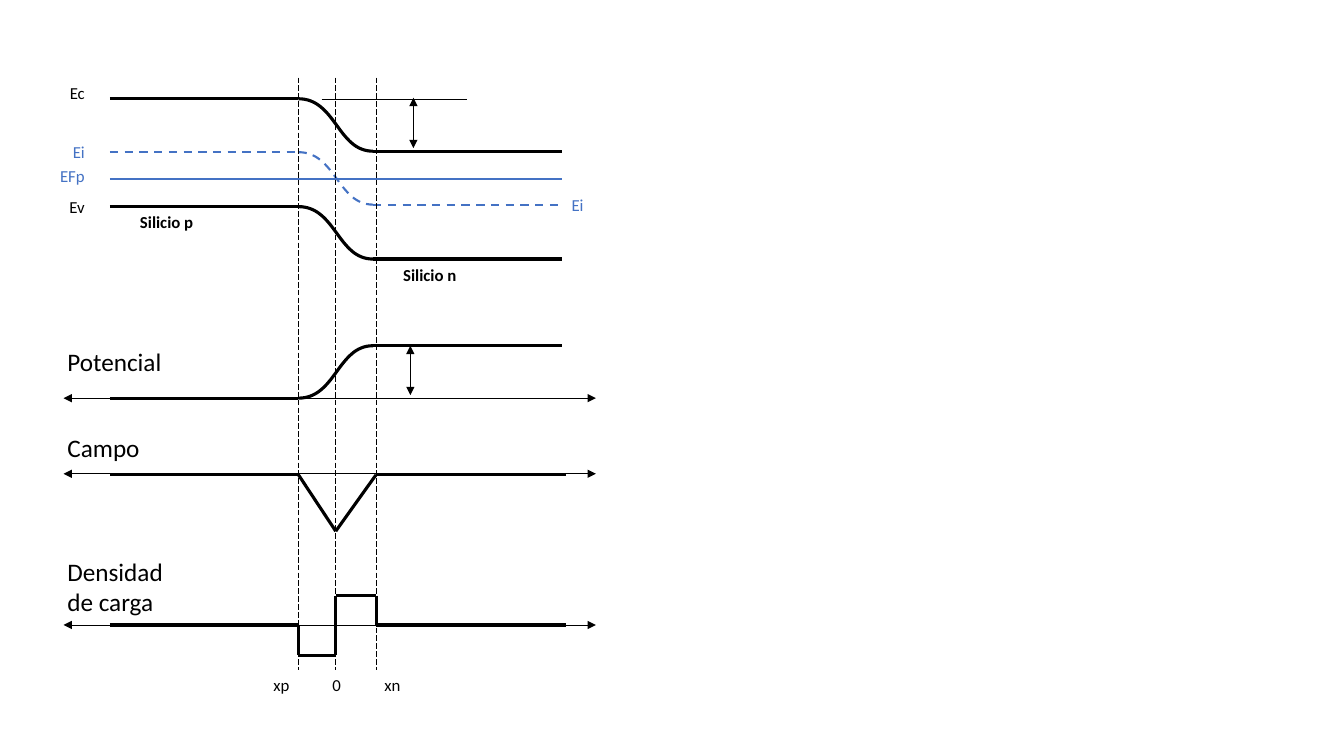
from lxml.etree import SubElement
from pptx import Presentation
from pptx.dml.color import RGBColor
from pptx.enum.dml import MSO_LINE as Dash
from pptx.enum.shapes import MSO_CONNECTOR as Connector
from pptx.enum.text import MSO_AUTO_SIZE as AutoSize, PP_ALIGN as Align
from pptx.oxml.ns import qn
from pptx.util import Pt

BLACK = RGBColor(0x00, 0x00, 0x00)
BLUE = RGBColor(0x44, 0x72, 0xC4)
PX = 9144

THICK = {"width": Pt(2.25)}
THIN = {"width": Pt(0.5)}
GUIDE = {"width": Pt(0.5), "dash_style": Dash.LONG_DASH}
LEVEL = {"width": Pt(1.5)}
INTRINSIC = {"width": Pt(1.5), "dash_style": Dash.DASH}

LEFT, P_EDGE, JUNCTION, N_EDGE, RIGHT = 109, 296, 333, 373, 557
CURVE_END = 370
GUIDE_TOP, GUIDE_BOTTOM = 77, 665
AXIS_LEFT, AXIS_RIGHT = 63, 591
FIELD_RIGHT = 561
FIELD_Y, FIELD_PEAK = 471, 527
CHARGE_Y, CHARGE_TOP, CHARGE_BOTTOM = 620, 591, 650


class Diagram:
    font_name = "Calibri"
    curve_steps = 32

    def __init__(self, slide):
        self.shapes = slide.shapes

    def style_line(self, line, style, color):
        line.color.rgb = color
        for name, value in style.items():
            setattr(line, name, value)

    def line(self, x1, y1, x2, y2, style=THICK, color=BLACK, arrows=False):
        connector = self.shapes.add_connector(
            Connector.STRAIGHT, x1 * PX, y1 * PX, x2 * PX, y2 * PX)
        self.style_line(connector.line, style, color)
        properties = connector.element.spPr
        if arrows:
            outline = properties.find(qn("a:ln"))
            for end in ("a:headEnd", "a:tailEnd"):
                SubElement(outline, qn(end), type="triangle")
        SubElement(properties, qn("a:effectLst"))

    def path_lines(self, points):
        for start, end in zip(points, points[1:]):
            self.line(*start, *end)

    def curve(self, points, style, color):
        vertices = []
        for step in range(self.curve_steps + 1):
            t = step / self.curve_steps
            weights = ((1 - t) ** 3, 3 * t * (1 - t) ** 2,
                       3 * t ** 2 * (1 - t), t ** 3)
            vertices.append(tuple(
                round(PX * sum(w * p[axis] for w, p in zip(weights, points)))
                for axis in (0, 1)))
        builder = self.shapes.build_freeform(*vertices[0])
        builder.add_line_segments(vertices[1:], close=False)
        shape = builder.convert_to_shape()
        shape.shadow.inherit = False
        shape.fill.background()
        self.style_line(shape.line, style, color)

    def band(self, left_y, right_y, style=THICK, color=BLACK):
        self.line(LEFT, left_y, P_EDGE, left_y, style, color)
        self.curve([(P_EDGE, left_y), (JUNCTION, left_y),
                    (335, right_y), (CURVE_END, right_y)], style, color)
        self.line(CURVE_END, right_y, RIGHT, right_y, style, color)

    def axis(self, y):
        self.line(AXIS_LEFT, y, AXIS_RIGHT, y, THIN, arrows=True)

    def text(self, words, left, top, width, height, size=12, color=BLACK,
             align=Align.LEFT, bold=False, wrap=False):
        box = self.shapes.add_textbox(left * PX, top * PX, width * PX, height * PX)
        frame = box.text_frame
        frame.word_wrap = wrap
        frame.auto_size = AutoSize.SHAPE_TO_FIT_TEXT
        paragraph = frame.paragraphs[0]
        paragraph.alignment = align
        run = paragraph.add_run()
        run.text = words
        run.font.color.rgb = color
        font_format = {"name": self.font_name, "size": Pt(size), "bold": bold}
        for name, value in font_format.items():
            setattr(run.font, name, value)


def draw_bands(diagram):
    diagram.band(98, 150)
    diagram.band(151, 203, INTRINSIC, BLUE)
    diagram.band(205, 257)
    diagram.line(LEFT, 178, RIGHT, 178, LEVEL, BLUE)
    diagram.line(319, 99, 463, 99, THIN)
    diagram.line(410, 147, 410, 97, THIN, arrows=True)


def draw_profiles(diagram):
    diagram.axis(395)
    diagram.band(395, 343)
    diagram.line(407, 392, 407, 343, THIN, arrows=True)
    for x in (P_EDGE, JUNCTION, N_EDGE):
        diagram.line(x, GUIDE_TOP, x, GUIDE_BOTTOM, GUIDE)
    diagram.axis(FIELD_Y - 1)
    diagram.path_lines([(LEFT, FIELD_Y), (P_EDGE, FIELD_Y), (JUNCTION, FIELD_PEAK),
                        (N_EDGE, FIELD_Y), (FIELD_RIGHT, FIELD_Y)])
    diagram.axis(CHARGE_Y)
    diagram.path_lines([(LEFT, CHARGE_Y), (P_EDGE, CHARGE_Y), (P_EDGE, CHARGE_BOTTOM),
                        (JUNCTION, CHARGE_BOTTOM), (JUNCTION, CHARGE_TOP),
                        (N_EDGE, CHARGE_TOP), (N_EDGE, CHARGE_Y),
                        (FIELD_RIGHT, CHARGE_Y)])


def draw_labels(diagram):
    for words, left, top, color in (("Ec", 25, 77, BLACK), ("Ei", 33, 136, BLUE),
                                    ("EFp", 6, 160, BLUE), ("Ev", 25, 190, BLACK)):
        diagram.text(words, left, top, 94 - left, 36, color=color, align=Align.RIGHT)
    diagram.text("Ei", RIGHT, 188, 61, 36, color=BLUE)
    for words, left, top in (("Silicio p", 129, 205), ("Silicio n", 390, 258)):
        diagram.text(words, left, top, 147, 36, bold=True)
    for words, left, width in (("xp", 259, 38), ("0", 319, 29), ("xn", 369, 38)):
        diagram.text(words, left, 664, width, 30, align=Align.RIGHT)
    for words, top, width, height, wrap in (("Potencial", 339, 124, 40, False),
                                            ("Campo", 424, 102, 40, False),
                                            ("Densidad de carga", 547, 137, 71, True)):
        diagram.text(words, 57, top, width, height, size=18, wrap=wrap)


def main():
    presentation = Presentation()
    presentation.slide_width = 1333 * PX
    presentation.slide_height = 750 * PX
    slide = presentation.slides.add_slide(presentation.slide_layouts[6])
    diagram = Diagram(slide)
    draw_bands(diagram)
    draw_profiles(diagram)
    draw_labels(diagram)
    presentation.save("out.pptx")


if __name__ == "__main__":
    main()
